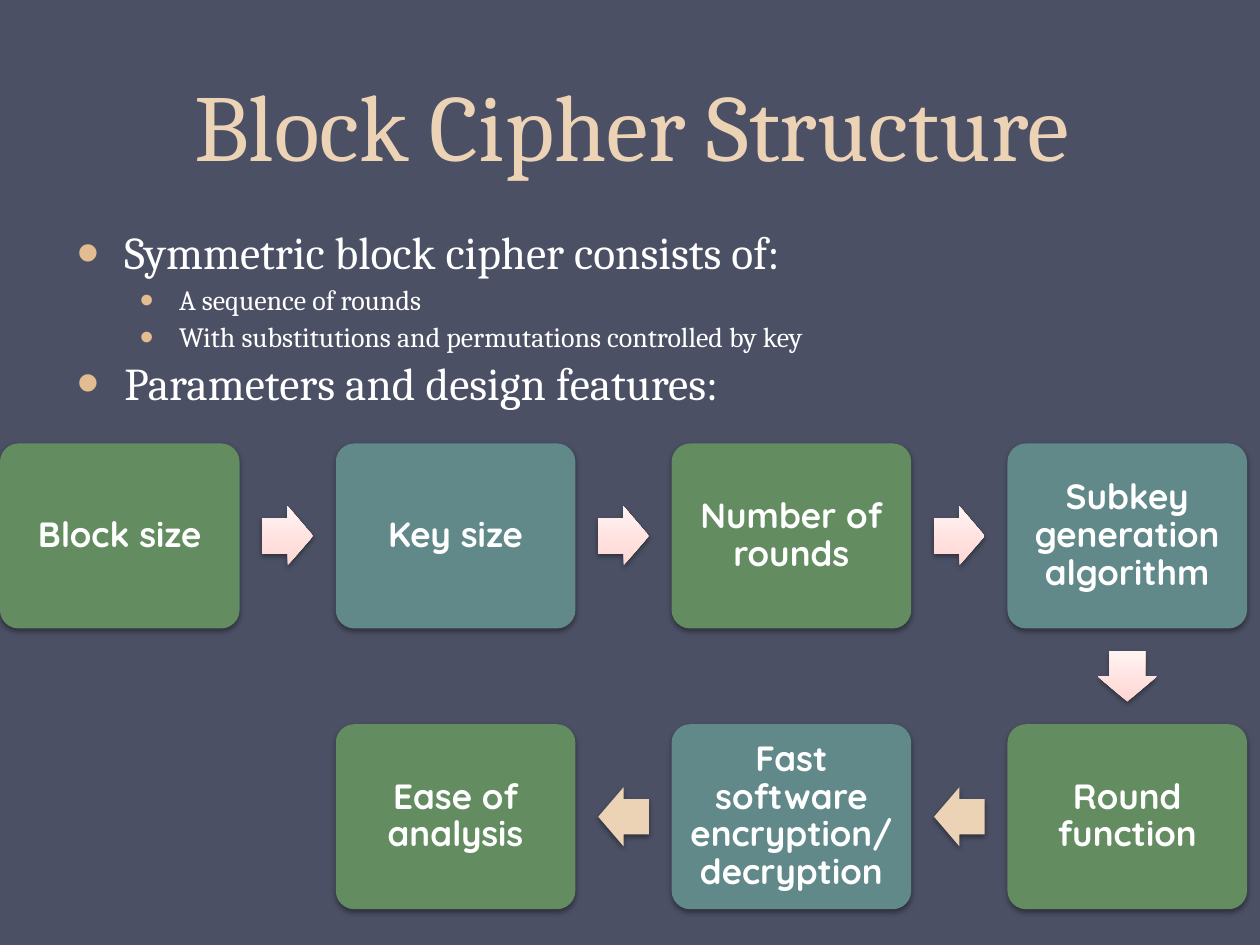
import pptx
import pptx.util
import pptx.dml.color
import pptx.enum.shapes
import pptx.enum.text
import pptx.oxml
import pptx.oxml.ns
from pptx.util import Cm, Pt

TITLE = "Block Cipher Structure"
BULLETS = [
    (0, "Symmetric block cipher consists of:"),
    (1, "A sequence of rounds"),
    (1, "With substitutions and permutations controlled by key"),
    (0, "Parameters and design features:"),
]
# column, row, label: the chain runs right, down, then back left
STEPS = [
    (0, 0, "Block size"),
    (1, 0, "Key size"),
    (2, 0, "Number of rounds"),
    (3, 0, "Subkey generation algorithm"),
    (3, 1, "Round function"),
    (2, 1, "Fast software encryption/decryption"),
    (1, 1, "Ease of analysis"),
]
COLORS = {
    "background": "4B5064", "sand": "EDD3B6", "bullet": "E3BC92", "white": "FFFFFF",
    "green": "648C61", "teal": "61898A", "shadow": "000000",
}
BLUSH = [(0, "FFD5D0"), (35, "FFE0DD"), (100, "FFF3F2")]
LEVELS = [
    {"size": 26, "margin": 0.96, "hang": 0.96},
    {"size": 16, "margin": 2.06, "hang": 0.79},
]
BOX_WIDTH, BOX_HEIGHT = 4.83, 3.73
COLUMN_PITCH, ROW_PITCH, FLOW_TOP = 6.77, 5.66, 8.94
ARROW_WIDTH, ARROW_HEIGHT = 1.02, 1.19
TURNS = {(1, 0): 0, (0, 1): 90, (-1, 0): 180}

SHAPES = pptx.enum.shapes.MSO_SHAPE
ANCHOR = pptx.enum.text.MSO_ANCHOR
CENTER = pptx.enum.text.PP_ALIGN.CENTER
DRAWING = pptx.oxml.ns.nsdecls("a")


def rgb(name):
    return pptx.dml.color.RGBColor.from_string(COLORS[name])


def apply(target, values):
    for name, value in values.items():
        setattr(target, name, value)


def write(para, text, font, color, **layout):
    apply(para, {"text": text, **layout})
    apply(para.font, font)
    para.font.color.rgb = rgb(color)


def add_xml(parent, markup):
    parent.append(pptx.oxml.parse_xml(markup.replace(" ", f" {DRAWING} ", 1)))


def add_text_frame(page, left, top, width, height, anchor):
    frame = page.shapes.add_textbox(Cm(left), Cm(top), Cm(width), Cm(height)).text_frame
    apply(frame, {"word_wrap": True, "vertical_anchor": anchor})
    return frame


def add_bullet(para, level):
    props = para._p.get_or_add_pPr()
    props.set("marL", str(Cm(level["margin"])))
    props.set("indent", str(-Cm(level["hang"])))
    add_xml(props, f'<a:buClr ><a:srgbClr val="{COLORS["bullet"]}"/></a:buClr>')
    add_xml(props, '<a:buSzPct val="140000"/>')
    add_xml(props, '<a:buFont typeface="Arial"/>')
    add_xml(props, '<a:buChar char="•"/>')


def add_shadowed(page, kind, center, size, adjustments):
    """Add an outline-free shape around its centre, with a soft shadow below."""
    (x, y), (width, height) = center, size
    shape = page.shapes.add_shape(
        kind, Cm(x - width / 2), Cm(y - height / 2), Cm(width), Cm(height))
    for index, value in enumerate(adjustments):
        shape.adjustments[index] = value
    shape.line.fill.background()
    shape.shadow.inherit = False
    effects = shape._element.spPr.find(pptx.oxml.ns.qn("a:effectLst"))
    add_xml(effects, f'<a:outerShdw blurRad="{Pt(3.1)}" dist="{Pt(1.6)}" dir="5400000" '
                     f'rotWithShape="0"><a:srgbClr val="{COLORS["shadow"]}">'
                     '<a:alpha val="38000"/></a:srgbClr></a:outerShdw>')
    return shape


def fill_blush(shape):
    """Fill with a three-stop gradient that stays upright when the shape turns."""
    shape.fill.gradient()
    shape.fill.gradient_angle = 90
    gradient = shape._element.spPr.find(pptx.oxml.ns.qn("a:gradFill"))
    gradient.set("rotWithShape", "0")
    stops = gradient.find(pptx.oxml.ns.qn("a:gsLst"))
    for stop in list(stops):
        stops.remove(stop)
    for position, color in BLUSH:
        add_xml(stops, f'<a:gs pos="{position * 1000}"><a:srgbClr val="{color}"/></a:gs>')


def fill_solid(shape, color):
    shape.fill.solid()
    shape.fill.fore_color.rgb = rgb(color)


def cell_center(column, row):
    return (column * COLUMN_PITCH + BOX_WIDTH / 2,
            FLOW_TOP + row * ROW_PITCH + BOX_HEIGHT / 2)


def add_step(page, index):
    column, row, label = STEPS[index]
    box = add_shadowed(page, SHAPES.ROUNDED_RECTANGLE, cell_center(column, row),
                       (BOX_WIDTH, BOX_HEIGHT), [0.1])
    fill_solid(box, ("green", "teal")[index % 2])
    frame = box.text_frame
    apply(frame, {"word_wrap": True, "vertical_anchor": ANCHOR.MIDDLE})
    apply(frame, {f"margin_{side}": Cm(0.1) for side in ("left", "top", "right", "bottom")})
    write(frame.paragraphs[0], label, {"name": "Quicksand", "size": Pt(20), "bold": True},
          "white", alignment=CENTER, line_spacing=0.9)


def add_arrow(page, start, end):
    """Point from one step to the next, halfway between them."""
    begin, finish = cell_center(*start[:2]), cell_center(*end[:2])
    middle = [(a + b) / 2 for a, b in zip(begin, finish)]
    arrow = add_shadowed(page, SHAPES.RIGHT_ARROW, middle,
                         (ARROW_WIDTH, ARROW_HEIGHT), [0.6, 0.5])
    arrow.rotation = TURNS[end[0] - start[0], end[1] - start[1]]
    if arrow.rotation == 180:
        fill_solid(arrow, "sand")
    else:
        fill_blush(arrow)


def main():
    deck = pptx.Presentation()
    apply(deck, {"slide_width": Cm(25.4), "slide_height": Cm(19.05)})
    page = deck.slides.add_slide(deck.slide_layouts[6])
    page.background.fill.solid()
    page.background.fill.fore_color.rgb = rgb("background")

    title = add_text_frame(page, 1.3, -0.69, 22.86, 4.45, ANCHOR.BOTTOM)
    write(title.paragraphs[0], TITLE, {"name": "Cambria", "size": Pt(54)}, "sand",
          alignment=CENTER, line_spacing=Pt(58))

    body = add_text_frame(page, 1.3, 4.52, 22.86, 6.15, ANCHOR.TOP)
    for index, (depth, text) in enumerate(BULLETS):
        para = body.add_paragraph() if index else body.paragraphs[0]
        level = LEVELS[depth]
        add_bullet(para, level)
        write(para, text, {"name": "Cambria", "size": Pt(level["size"])}, "white",
              level=depth, line_spacing=0.9, space_before=Pt(4 if index else 0))

    for index, step in enumerate(STEPS):
        if index:
            add_arrow(page, STEPS[index - 1], step)
        add_step(page, index)
    deck.save("out.pptx")


if __name__ == "__main__":
    main()
